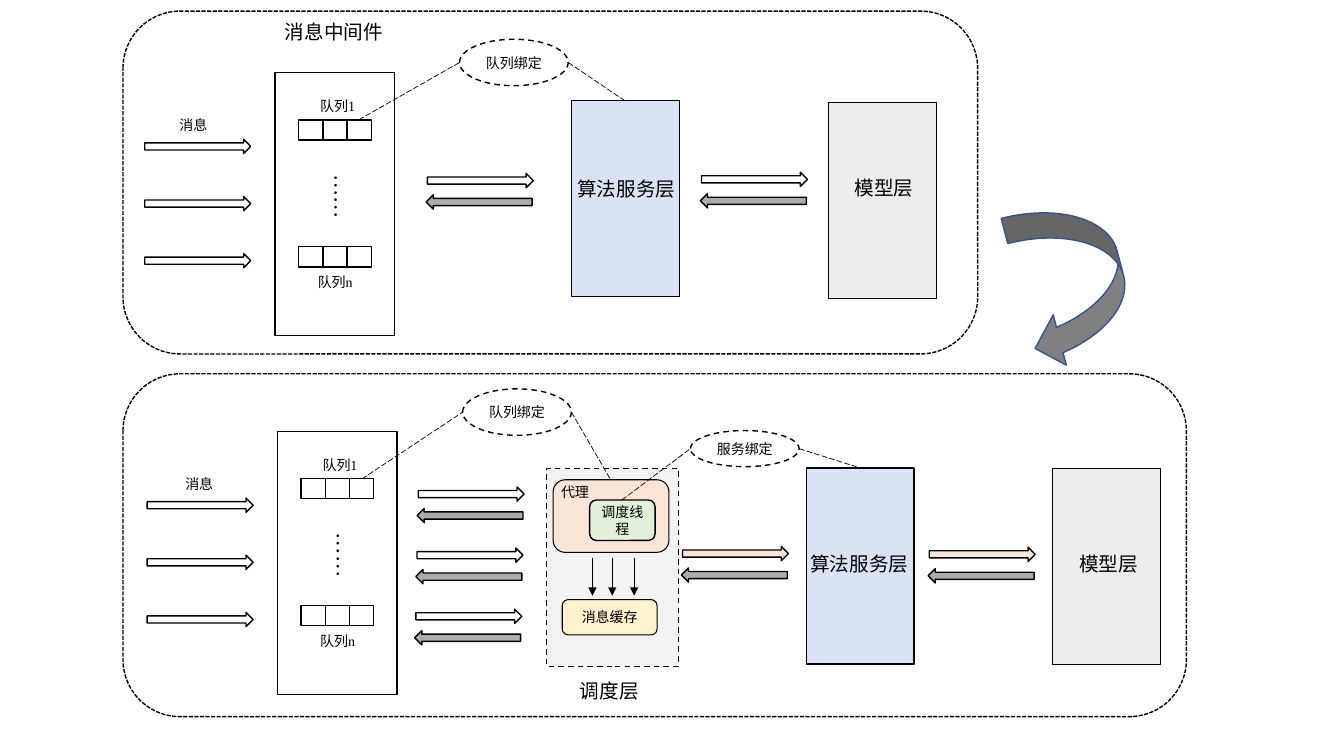
from pptx import Presentation
from pptx.dml.color import RGBColor
from pptx.enum.dml import MSO_LINE
from pptx.enum.shapes import MSO_CONNECTOR, MSO_SHAPE
from pptx.enum.text import MSO_ANCHOR, PP_ALIGN
from pptx.oxml.ns import qn
from pptx.util import Cm, Pt
from lxml.etree import SubElement


def color(hex_code):
    return RGBColor.from_string(hex_code)


def write(frame, text, size=10, font="Times New Roman", align=None, wrap=True):
    frame.word_wrap = wrap
    paragraph = frame.paragraphs[0]
    paragraph.alignment = align
    run = paragraph.add_run()
    run.text = text
    run.font.size = Pt(size)
    run.font.name = font
    run.font.color.rgb = color("000000")
    SubElement(run.font._element, qn("a:ea"), typeface="Noto Sans CJK SC")


class Diagram:
    WHITE, GRAY, PEACH = "FFFFFF", "AFABAB", "FBE5D6"
    BLUE, SILVER = "DAE3F3", "EDEDED"
    ARROW_SIZE = (2.67, 0.36)

    def __init__(self, slide):
        self.shapes = slide.shapes

    def shape(self, kind, x, y, w, h, fill=WHITE, line="000000", width=1,
              dash=None, rotation=0, text=None):
        shape = self.shapes.add_shape(kind, Cm(x), Cm(y), Cm(w), Cm(h))
        shape.shadow.inherit = False
        shape.fill.solid()
        shape.fill.fore_color.rgb = color(fill)
        shape.line.color.rgb = color(line)
        shape.line.width = Pt(width)
        shape.line.dash_style = dash
        shape.rotation = rotation
        if text:
            frame = shape.text_frame
            frame.margin_left = frame.margin_right = Cm(0.1)
            frame.vertical_anchor = MSO_ANCHOR.MIDDLE
            write(frame, text, align=PP_ALIGN.CENTER)

    def label(self, text, x, y, w, h=0.69, vertical=False, **style):
        box = self.shapes.add_textbox(Cm(x), Cm(y), Cm(w), Cm(h))
        write(box.text_frame, text, **style)
        if vertical:
            box.element.txBody.find(qn("a:bodyPr")).set("vert", "eaVert")

    def line(self, start, end, dash=None, arrow=False):
        line = self.shapes.add_connector(
            MSO_CONNECTOR.STRAIGHT, *(Cm(value) for value in (*start, *end)))
        line.line.color.rgb = color("000000")
        line.line.width = Pt(0.5)
        line.line.dash_style = dash
        if arrow:
            SubElement(line.line._get_or_add_ln(), qn("a:tailEnd"), type="triangle")
        SubElement(line.element.spPr, qn("a:effectLst"))

    def arrow(self, x, y, fill=WHITE, rotation=0):
        self.shape(MSO_SHAPE.RIGHT_ARROW, x, y, *self.ARROW_SIZE,
                   fill=fill, rotation=rotation)

    def exchange(self, x, y, fill=WHITE):
        self.arrow(x, y, fill)
        self.arrow(x - 0.03, y + 0.54, self.GRAY, rotation=180)

    def panel(self, y, w):
        self.shape(MSO_SHAPE.ROUNDED_RECTANGLE, 3.1, y, w, 8.64,
                   dash=MSO_LINE.SQUARE_DOT)

    def queues(self, x, y, message_x):
        self.shape(MSO_SHAPE.RECTANGLE, x, y, 3.02, 6.63)
        for cell_y in (y + 1.19, y + 4.39):
            for column in range(3):
                self.shape(MSO_SHAPE.RECTANGLE, x + 0.6 + column * 0.61, cell_y,
                           0.61, 0.51)
        self.label("……", x + 1, y + 2.31, 1.19, 1.68, vertical=True, size=16)
        self.label("队列1", x + 0.89, y + 0.51, 1.68)
        self.label("队列n", x + 0.83, y + 4.95, 1.68)
        for row in range(3):
            self.arrow(x - 3.28, y + 1.68 + row * 1.44)
        self.label("消息", message_x, y + 0.99, 1.25, font="Noto Sans CJK SC")

    def layer(self, text, x, y, fill, label_x, label_y, label_w):
        self.shape(MSO_SHAPE.RECTANGLE, x, y, 2.72, 4.94, fill=fill)
        self.label(text, label_x, label_y, label_w, 0.86, size=14)

    def binding(self, text, x, y, h, left_end, right_end):
        w, middle = 2.74, y + h / 2
        self.line(left_end, (x, middle), MSO_LINE.LONG_DASH)
        self.line((x + w, middle), right_end, MSO_LINE.LONG_DASH)
        self.shape(MSO_SHAPE.OVAL, x, y, w, h, dash=MSO_LINE.DASH, text=text)


def main():
    deck = Presentation()
    deck.slide_width, deck.slide_height = Cm(33.87), Cm(19.05)
    diagram = Diagram(deck.slides.add_slide(deck.slide_layouts[6]))

    # Upper architecture: queues call the services directly
    diagram.panel(0.28, 21.54)
    diagram.queues(6.93, 1.83, 4.27)
    diagram.label("消息中间件", 6.93, 0.38, 4.11, 0.86, size=14)
    diagram.layer("算法服务层", 14.4, 2.54, diagram.BLUE, 14.3, 4.34, 3.66)
    diagram.layer("模型层", 20.88, 2.59, diagram.SILVER, 21.29, 4.32, 2.01)
    diagram.exchange(10.77, 4.37)
    diagram.exchange(17.68, 4.34)
    diagram.binding("队列绑定", 11.58, 0.99, 1.17, (9.04, 3.02), (15.75, 2.54))

    # Lower architecture: a dispatch layer sits in between
    diagram.panel(9.42, 26.8)
    diagram.queues(6.99, 10.87, 4.42)
    diagram.layer("算法服务层", 20.32, 11.79, diagram.BLUE, 20.17, 13.79, 3.05)
    diagram.layer("模型层", 26.52, 11.81, diagram.SILVER, 26.95, 13.79, 2.06)
    for row in range(3):
        diagram.exchange(10.54 - row * 0.03, 12.27 + row * 1.54)
    diagram.exchange(17.2, 13.77, diagram.PEACH)
    diagram.exchange(23.42, 13.79, diagram.PEACH)

    # Dispatch layer
    diagram.shape(MSO_SHAPE.RECTANGLE, 13.77, 11.81, 3.33, 4.98,
                  fill="F2F2F2", dash=MSO_LINE.DASH)
    diagram.shape(MSO_SHAPE.ROUNDED_RECTANGLE, 13.94, 12.09, 2.92, 1.83,
                  fill=diagram.PEACH, width=0.75)
    diagram.label("代理", 13.89, 12.07, 1.32)
    diagram.shape(MSO_SHAPE.ROUNDED_RECTANGLE, 14.86, 12.6, 1.65, 1.02,
                  fill="E2F0D9", text="调度线程")
    diagram.shape(MSO_SHAPE.ROUNDED_RECTANGLE, 14.17, 15.11, 2.39, 0.89,
                  fill="FFF2CC", width=0.75, text="消息缓存")
    for x in (14.93, 15.43, 15.98):
        diagram.line((x, 14.05), (x, 15.01), arrow=True)
    diagram.label("调度层", 14.35, 16.99, 2.01, 0.86, size=14,
                  align=PP_ALIGN.CENTER, wrap=False)
    diagram.binding("队列绑定", 11.66, 9.8, 1.17, (9.12, 12.07), (15.39, 12.09))
    diagram.binding("服务绑定", 17.4, 10.85, 0.91, (15.67, 12.6), (21.67, 11.79))

    # Transition between the architectures
    diagram.shape(MSO_SHAPE.CURVED_LEFT_ARROW, 25.7, 5.11, 2.62, 4.04,
                  fill="808080", line="325491", rotation=345.4)

    deck.save("out.pptx")


if __name__ == "__main__":
    main()
